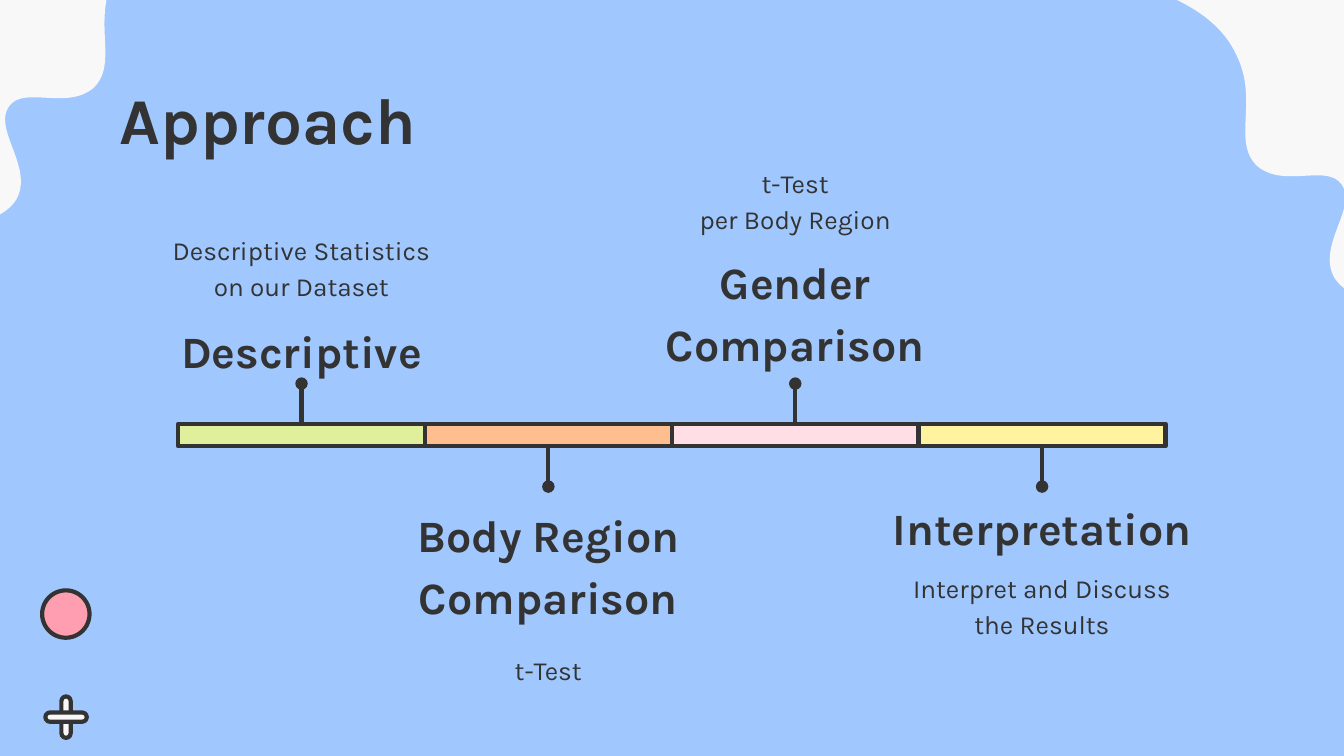
from math import cos, radians, sin

from lxml import etree
from pptx import Presentation
from pptx.dml.color import RGBColor
from pptx.enum.shapes import MSO_CONNECTOR as Connector, MSO_SHAPE as Shape
from pptx.enum.text import MSO_ANCHOR as Anchor, PP_ALIGN as Align
from pptx.oxml.ns import qn
from pptx.util import Pt

INK, PAPER, SKY = "333333", "F8F8F8", "A0C8FF"
INSET = 7.2
BAR_LEFT, BAR_TOP, BAR_HEIGHT, STEP = 95.4, 227.1, 12, 132.25
STEM = 21.6
LABEL_WIDTH = 168.5
HEADING_HEIGHT, NOTE_HEIGHT = 36, 45.4

# Fill, heading, heading top, heading anchor, heading width, note, note top, note anchor
STEPS = [
    ("E0EF9B", "Descriptive", 169.3, Anchor.TOP, LABEL_WIDTH,
     "Descriptive Statistics on our Dataset", 123.4, Anchor.BOTTOM),
    ("FFBE90", "Body Region Comparison", 260.7, Anchor.TOP, LABEL_WIDTH,
     "t-Test", 341, Anchor.TOP),
    ("FFDFE5", "Gender Comparison", 169.5, Anchor.BOTTOM, LABEL_WIDTH,
     "t-Test\nper Body Region", 79.9, Anchor.TOP),
    ("FFF3A0", "Interpretation", 260.9, Anchor.BOTTOM, 195.1,
     "Interpret and Discuss the Results", 297, Anchor.TOP),
]

# Right corner: a start point, then two controls and an end for each curve
BLOB_TILT = -20.4
BLOB = [
    (740.9, 161.3),
    (733, 161.3), (720.7, 157.7), (715, 149),
    (704.9, 131.8), (727.9, 110.9), (718.6, 98.6),
    (710.6, 87.8), (688.3, 100.8), (673.9, 89.3),
    (659.5, 76.3), (674.6, 54), (662.4, 29.5),
    (646.6, -5), (596.2, -7.9), (597.6, -15.8),
    (599, -27.4), (699.8, -44.6), (761, 12.2),
    (768.2, 18.7), (797, 46.1), (798.5, 83.5),
    (799.2, 122.4), (769.7, 162), (740.9, 161.3),
]


def color(value):
    return RGBColor.from_string(value)


def apply(target, values):
    for name, value in values.items():
        setattr(target, name, value)


def paint(shape, fill, outlined=True):
    shape.shadow.inherit = False
    shape.fill.solid()
    shape.fill.fore_color.rgb = color(fill)
    if outlined:
        shape.line.color.rgb = color(INK)
        shape.line.width = Pt(2.25)
    else:
        shape.line.fill.background()


def add_figure(page, kind, left, top, width, height, fill):
    shape = page.shapes.add_shape(kind, Pt(left), Pt(top), Pt(width), Pt(height))
    paint(shape, fill)
    return shape


def turn(point, angle):
    x, y = point
    c, s = cos(radians(angle)), sin(radians(angle))
    return x * c - y * s, x * s + y * c


def add_blob(page, points, tilt):
    """Draw a closed chain of cubic curves as a shape rotated by tilt."""
    outline = [tuple(Pt(v) for v in turn(point, -tilt)) for point in points]
    builder = page.shapes.build_freeform(*outline[0])
    builder.add_line_segments(outline[1:], close=True)
    shape = builder.convert_to_shape()
    lines = list(shape._element.iter(qn("a:lnTo")))
    for first in range(0, len(lines), 3):
        curve = etree.Element(qn("a:cubicBezTo"))
        lines[first].addprevious(curve)
        for line in lines[first:first + 3]:
            curve.append(line[0])
            line.getparent().remove(line)
    half_width, half_height = shape.width / 2, shape.height / 2
    x, y = turn((shape.left + half_width, shape.top + half_height), tilt)
    apply(shape, {"left": int(x - half_width), "top": int(y - half_height),
                  "rotation": tilt})
    paint(shape, PAPER, outlined=False)


def add_text(page, text, left, top, width, height, size, bold=False,
             anchor=Anchor.TOP, align=Align.CENTER, spacing=1.15,
             inset_top=INSET, inset_bottom=INSET):
    box = page.shapes.add_textbox(Pt(left), Pt(top), Pt(width), Pt(height))
    frame = box.text_frame
    apply(frame, {"word_wrap": True, "vertical_anchor": anchor,
                  "margin_left": Pt(INSET), "margin_right": Pt(INSET),
                  "margin_top": Pt(inset_top), "margin_bottom": Pt(inset_bottom)})
    para = frame.paragraphs[0]
    apply(para, {"alignment": align, "line_spacing": spacing})
    for index, line in enumerate(text.split("\n")):
        if index:
            para.add_line_break()
        span = para.add_run()
        span.text = line
        apply(span.font, {"name": "Karla", "size": Pt(size), "bold": bold})
        span.font.color.rgb = color(INK)


def add_stem(page, x, dot_y, bar_y):
    """Draw a line with a round dot at the end away from the bar."""
    stem = page.shapes.add_connector(
        Connector.STRAIGHT, Pt(x), Pt(dot_y), Pt(x), Pt(bar_y))
    stem.line.color.rgb = color(INK)
    stem.line.width = Pt(2.25)
    etree.SubElement(stem.line._get_or_add_ln(), qn("a:headEnd"), type="oval")
    etree.SubElement(stem._element.spPr, qn("a:effectLst"))


def add_decoration(page):
    add_blob(page, BLOB, BLOB_TILT)
    add_blob(page, [(723.6 - x, y - 41.8) for x, y in BLOB], -BLOB_TILT)
    add_figure(page, Shape.OVAL, 22.6, 316.3, 25.4, 25.4, "FF9EB1")
    arms = []
    for angle in (0, 90):
        arm = add_figure(page, Shape.ROUNDED_RECTANGLE, 32.9, 373.1, 5, 22.2, PAPER)
        arm.adjustments[0] = 0.5
        arm.rotation = angle
        arms.append(arm)
    page.shapes.add_group_shape(arms)


def add_timeline(page):
    for index, step in enumerate(STEPS):
        add_figure(page, Shape.RECTANGLE, BAR_LEFT + index * STEP, BAR_TOP,
                   STEP, BAR_HEIGHT, step[0])
    for index, step in enumerate(STEPS):
        _, heading, top, anchor, width, note, note_top, note_anchor = step
        center = BAR_LEFT + (index + 0.5) * STEP
        above = index % 2 == 0
        if above:
            add_stem(page, center, BAR_TOP - STEM, BAR_TOP)
        else:
            bottom = BAR_TOP + BAR_HEIGHT
            add_stem(page, center, bottom + STEM, bottom)
        add_text(page, heading, center - width / 2, top, width, HEADING_HEIGHT,
                 24, bold=True, anchor=anchor,
                 inset_top=0 if above else INSET,
                 inset_bottom=INSET if above else 0)
        add_text(page, note, center - LABEL_WIDTH / 2, note_top, LABEL_WIDTH,
                 NOTE_HEIGHT, 14, anchor=note_anchor)


def main():
    deck = Presentation()
    apply(deck, {"slide_width": Pt(720), "slide_height": Pt(405)})
    page = deck.slides.add_slide(deck.slide_layouts[6])
    page.background.fill.solid()
    page.background.fill.fore_color.rgb = color(SKY)
    add_decoration(page)
    add_text(page, "Approach", 56.9, 35.3, 607, 45.4, 35, bold=True,
             align=Align.LEFT, spacing=1.0)
    add_timeline(page)
    deck.save("out.pptx")


if __name__ == "__main__":
    main()
